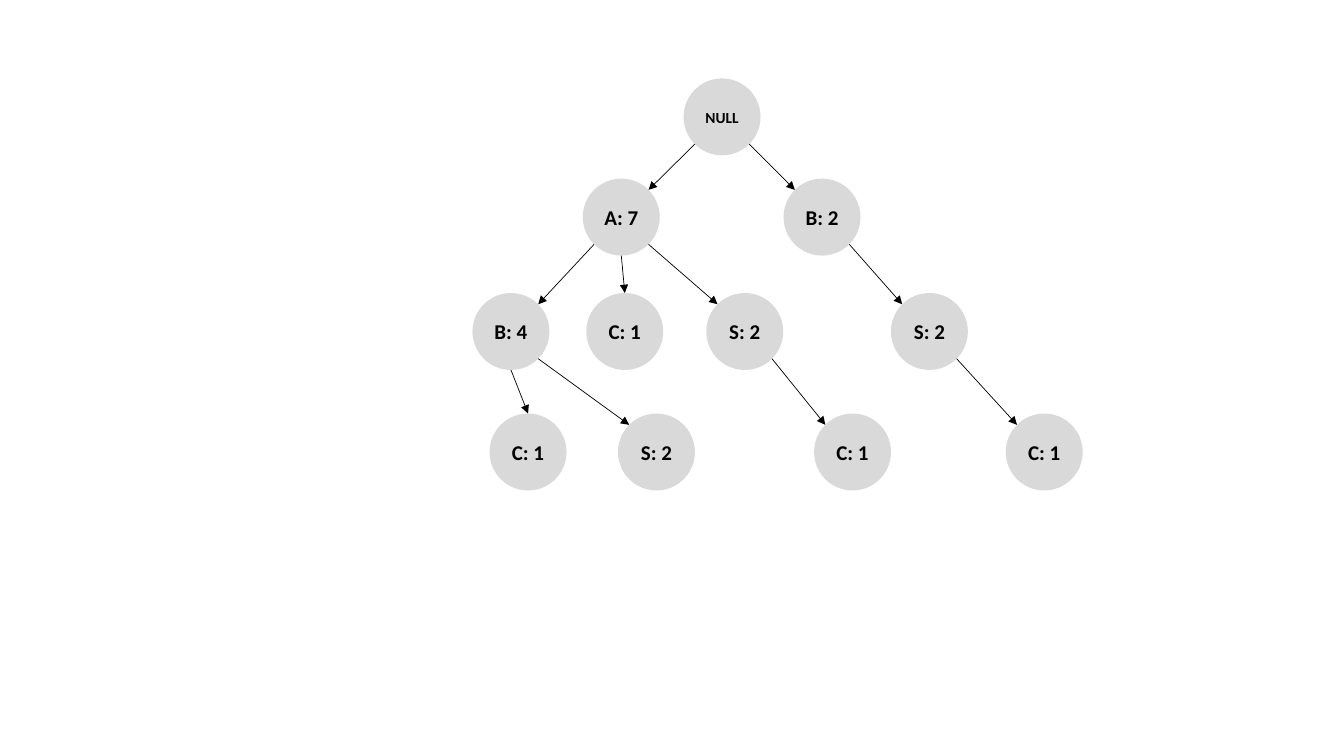
from math import sqrt

from lxml import etree
from pptx import Presentation
from pptx.dml.color import RGBColor
from pptx.enum.shapes import MSO_CONNECTOR, MSO_SHAPE
from pptx.enum.text import MSO_ANCHOR, PP_ALIGN
from pptx.oxml.ns import qn
from pptx.util import Pt

STRAIGHT = MSO_CONNECTOR.STRAIGHT
OVAL = MSO_SHAPE.OVAL
MIDDLE = MSO_ANCHOR.MIDDLE
CENTER = PP_ALIGN.CENTER

GREY = RGBColor(0xD9, 0xD9, 0xD9)
BLACK = RGBColor(0, 0, 0)
FONT = "Calibri"
ROOT_SIZE, ITEM_SIZE = 11, 15
DIAMETER = 55
LEVEL_TOPS = [56, 127.6, 209.3, 295.4]

# label, left, children
TREE = ("NULL", 488.3, [
    ("A: 7", 416.3, [
        ("B: 4", 337.5, [
            ("C: 1", 349.7, []),
            ("S: 2", 441.4, []),
        ]),
        ("C: 1", 418.8, []),
        ("S: 2", 504.5, [("C: 1", 581.5, [])]),
    ]),
    ("B: 2", 559.7, [
        ("S: 2", 636.4, [("C: 1", 718.4, [])]),
    ]),
])


def draw_node(slide, label, left, level):
    node = slide.shapes.add_shape(
        OVAL, Pt(left), Pt(LEVEL_TOPS[level]), Pt(DIAMETER), Pt(DIAMETER))
    node.shadow.inherit = False
    node.fill.solid()
    node.fill.fore_color.rgb = GREY
    node.line.fill.background()
    frame = node.text_frame
    frame.margin_left = frame.margin_right = 0
    frame.margin_top = frame.margin_bottom = 0
    frame.word_wrap = False
    frame.vertical_anchor = MIDDLE
    paragraph = frame.paragraphs[0]
    paragraph.alignment = CENTER
    run = paragraph.add_run()
    run.text = label
    run.font.name = FONT
    run.font.size = Pt(ITEM_SIZE if level else ROOT_SIZE)
    run.font.bold = True
    run.font.color.rgb = BLACK


def draw_branch(slide, parent_left, child_left, level):
    radius = DIAMETER / 2
    shift = child_left - parent_left
    if abs(shift) < radius:
        across, down = 0, radius
    else:
        down = radius / sqrt(2)
        across = down if shift > 0 else -down
    branch = slide.shapes.add_connector(
        STRAIGHT,
        Pt(parent_left + radius + across), Pt(LEVEL_TOPS[level] + radius + down),
        Pt(child_left + radius - across), Pt(LEVEL_TOPS[level + 1] + radius - down))
    branch.line.color.rgb = BLACK
    branch.line.width = Pt(0.5)
    etree.SubElement(branch.line._get_or_add_ln(), qn("a:tailEnd"), type="triangle")
    etree.SubElement(branch._element.spPr, qn("a:effectLst"))


def draw_tree(slide, tree, level=0):
    label, left, children = tree
    draw_node(slide, label, left, level)
    for child in children:
        draw_branch(slide, left, child[1], level)
        draw_tree(slide, child, level + 1)


def main():
    presentation = Presentation()
    presentation.slide_width = Pt(960)
    presentation.slide_height = Pt(540)
    slide = presentation.slides.add_slide(presentation.slide_layouts[6])
    draw_tree(slide, TREE)
    presentation.save("out.pptx")


if __name__ == "__main__":
    main()
